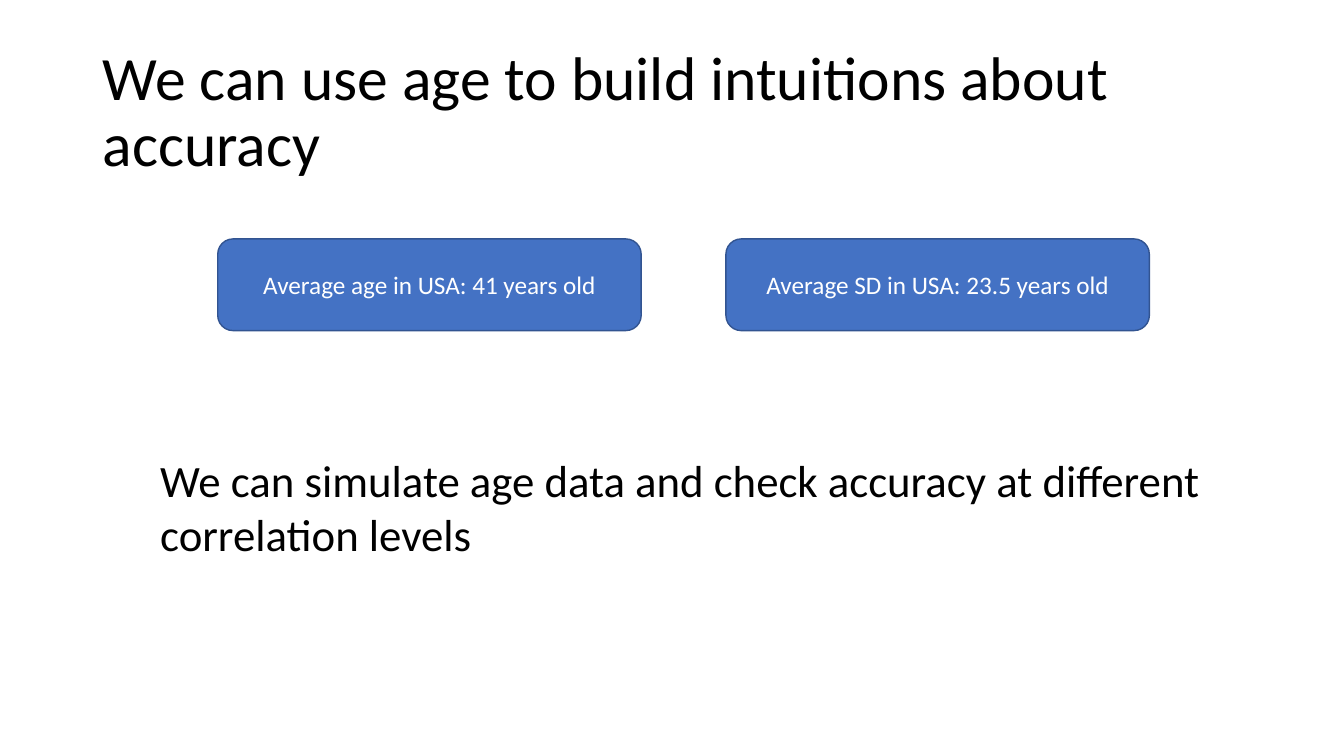
from dataclasses import dataclass

from pptx import Presentation
from pptx import util as u
from pptx.dml.color import RGBColor
from pptx.enum import shapes, text
from pptx.shapes.autoshape import Shape
from pptx.slide import Slide

BLACK = RGBColor(0x00, 0x00, 0x00)
WHITE = RGBColor(0xFF, 0xFF, 0xFF)
BLUE = RGBColor(0x44, 0x72, 0xC4)
DARK_BLUE = RGBColor(0x32, 0x54, 0x91)
FONT = "Calibri"

STATISTIC_LEFT, STATISTIC_TOP = 2.16, 2.37
STATISTIC_WIDTH, STATISTIC_HEIGHT = 4.2, 0.91
STATISTIC_GAP = 0.84


@dataclass(frozen=True)
class Statistic:
    label: str
    value: str


STATISTICS = [
    Statistic("Average age in USA", "41 years old"),
    Statistic("Average SD in USA", "23.5 years old"),
]


def write(
    shape: Shape,
    wording: str,
    *,
    size: float,
    color: RGBColor = BLACK,
    align: text.PP_ALIGN = text.PP_ALIGN.LEFT,
    anchor: text.MSO_ANCHOR = text.MSO_ANCHOR.TOP,
    line_spacing: float = 1.0,
) -> None:
    frame = shape.text_frame
    frame.word_wrap = True
    frame.vertical_anchor = anchor
    paragraph = frame.paragraphs[0]
    paragraph.alignment = align
    paragraph.line_spacing = line_spacing
    run = paragraph.add_run()
    run.text = wording
    run.font.name = FONT
    run.font.size = u.Pt(size)
    run.font.color.rgb = color


def add_statistic(slide: Slide, statistic: Statistic, column: int) -> None:
    left = STATISTIC_LEFT + column * (STATISTIC_WIDTH + STATISTIC_GAP)
    card = slide.shapes.add_shape(
        shapes.MSO_SHAPE.ROUNDED_RECTANGLE,
        u.Inches(left), u.Inches(STATISTIC_TOP),
        u.Inches(STATISTIC_WIDTH), u.Inches(STATISTIC_HEIGHT),
    )
    card.shadow.inherit = False
    card.fill.solid()
    card.fill.fore_color.rgb = BLUE
    card.line.color.rgb = DARK_BLUE
    card.line.width = u.Pt(1)
    write(card, f"{statistic.label}: {statistic.value}", size=18, color=WHITE,
          align=text.PP_ALIGN.CENTER, anchor=text.MSO_ANCHOR.MIDDLE)


def main() -> None:
    deck = Presentation()
    deck.slide_width, deck.slide_height = u.Inches(13.33), u.Inches(7.5)
    slide = deck.slides.add_slide(deck.slide_layouts[6])

    title = slide.shapes.add_textbox(
        u.Inches(0.92), u.Inches(0.4), u.Inches(11.5), u.Inches(1.45))
    write(title, "We can use age to build intuitions about accuracy", size=44,
          anchor=text.MSO_ANCHOR.MIDDLE, line_spacing=0.9)

    for column, statistic in enumerate(STATISTICS):
        add_statistic(slide, statistic, column)

    conclusion = slide.shapes.add_textbox(
        u.Inches(1.49), u.Inches(4.44), u.Inches(11.22), u.Inches(1.18))
    write(conclusion,
          "We can simulate age data and check accuracy at different correlation levels",
          size=32)
    conclusion.text_frame.auto_size = text.MSO_AUTO_SIZE.SHAPE_TO_FIT_TEXT

    deck.save("out.pptx")


if __name__ == "__main__":
    main()
